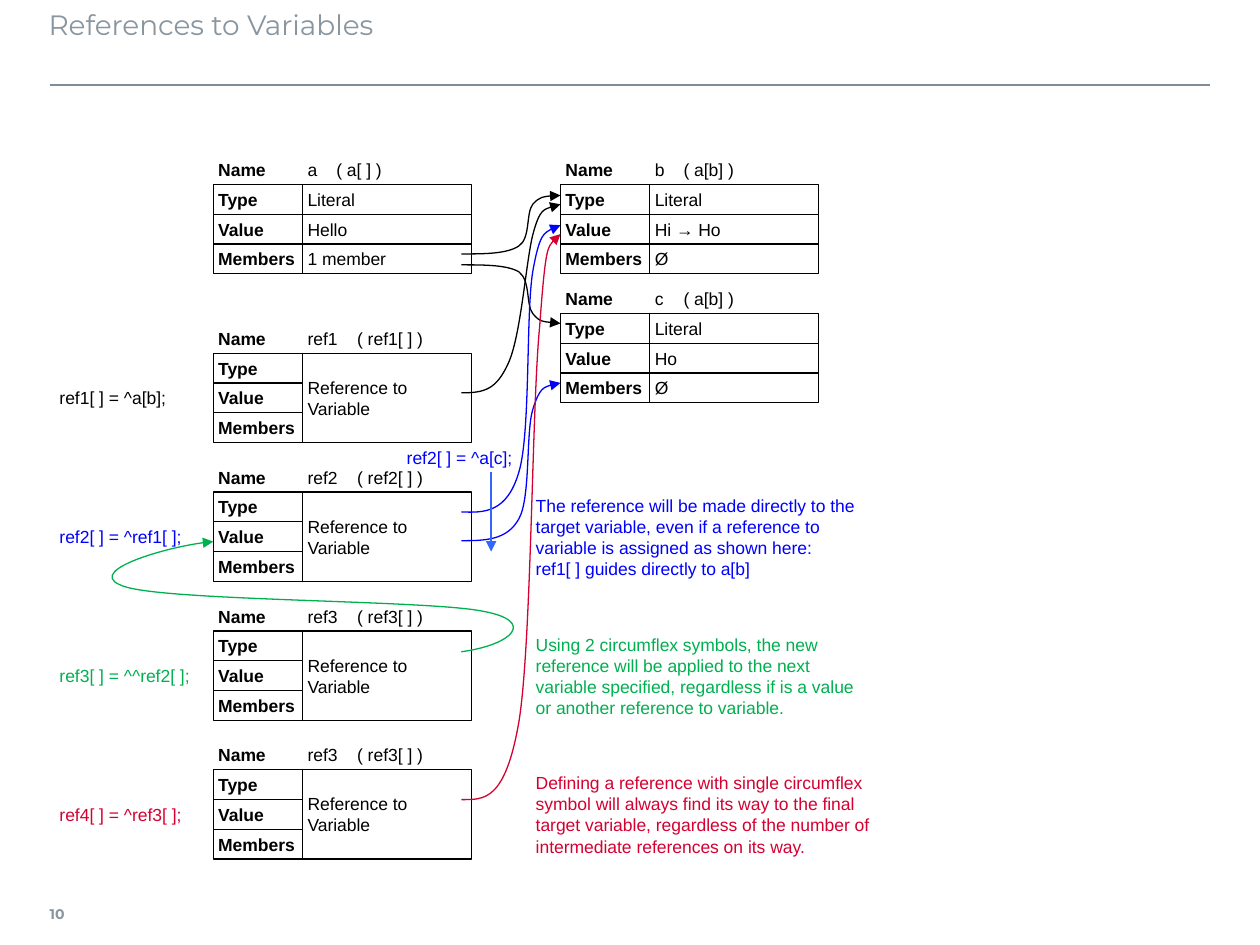
from typing import NamedTuple, Optional

from lxml import etree
from pptx import Presentation
from pptx import util as u
from pptx.dml.color import RGBColor
from pptx.enum import shapes, text
from pptx.oxml.ns import qn

PX = 7200  # EMU, 0.2 mm
ROW, LABEL_W, VALUE_W = 30, 90, 170
ASSIGNMENT_W, NOTE_W = 150, 360  # room for the longest line
LEFT_X, RIGHT_X = 215, 565
BLACK, BLUE, GREEN, RED = "000000", "0000FF", "00B050", "D50032"
GREY, RULE_GREY, ARROW_BLUE = "8996A0", "808D97", "3366FF"


class Box(NamedTuple):
    x: int
    y: int
    width: int
    height: int


class Variable(NamedTuple):
    x: int
    y: int
    name: str
    members: str
    tab: int  # where the member list starts
    values: tuple = ()  # empty for a reference


class Statement(NamedTuple):
    box: Box
    words: str
    color: str


class Curve(NamedTuple):
    color: str
    points: tuple  # start, then three points per cubic segment


VARIABLES = [
    Variable(LEFT_X, 156, "a", "( a[ ] )", 29, ("Literal", "Hello", "1 member")),
    Variable(RIGHT_X, 156, "b", "( a[b] )", 29, ("Literal", "Hi → Ho", "Ø")),
    Variable(RIGHT_X, 286, "c", "( a[b] )", 29, ("Literal", "Ho", "Ø")),
] + [
    Variable(LEFT_X, 326 + 140 * i, name, f"( {name}[ ] )", 50)
    for i, name in enumerate(("ref1", "ref2", "ref3", "ref3"))
]

ASSIGNMENTS = [
    ("ref1[ ] = ^a[b];", BLACK),
    ("ref2[ ] = ^ref1[ ];", BLUE),
    ("ref3[ ] = ^^ref2[ ];", GREEN),
    ("ref4[ ] = ^ref3[ ];", RED),
]
NOTES = [
    ("The reference will be made directly to the\n"
     "target variable, even if a reference to\n"
     "variable is assigned as shown here:\n"
     "ref1[ ] guides directly to a[b]", BLUE),
    ("Using 2 circumflex symbols, the new\n"
     "reference will be applied to the next\n"
     "variable specified, regardless if is a value\n"
     "or another reference to variable.", GREEN),
    ("Defining a reference with single circumflex\n"
     "symbol will always find its way to the final\n"
     "target variable, regardless of the number of\n"
     "intermediate references on its way.", RED),
]
STATEMENTS = [
    Statement(Box(55, 386 + 140 * i, ASSIGNMENT_W, ROW), *item)
    for i, item in enumerate(ASSIGNMENTS)
] + [
    Statement(Box(535, 496 + 140 * i, NOTE_W, 3 * ROW), *item)
    for i, item in enumerate(NOTES)
] + [Statement(Box(405, 446, ASSIGNMENT_W, ROW), "ref2[ ] = ^a[c];", BLUE)]

CURVES = [
    Curve(BLACK, ((465, 256), (488, 256), (511, 256), (523, 248), (535, 240),
                  (530, 215), (537, 206), (544, 198), (555, 197), (565, 197))),
    Curve(BLACK, ((465, 267), (488, 267), (511, 267), (523, 274), (535, 283),
                  (530, 307), (537, 316), (544, 325), (555, 325), (565, 326))),
    Curve(BLACK, ((465, 396), (488, 396), (500, 393), (512, 367), (525, 340),
                  (530, 265), (537, 237), (544, 210), (555, 208), (565, 206))),
    Curve(BLUE, ((465, 516), (488, 517), (511, 517), (523, 476), (535, 437),
                 (530, 316), (537, 274), (544, 234), (555, 230), (565, 227))),
    Curve(BLUE, ((465, 545), (488, 545), (511, 545), (523, 523), (535, 502),
                 (530, 436), (537, 413), (544, 390), (555, 387), (565, 386))),
    Curve(GREEN, ((465, 657), (516, 650), (542, 626), (486, 616), (431, 605),
                  (179, 606), (128, 592), (79, 578), (173, 549), (215, 546))),
    Curve(RED, ((465, 806), (488, 806), (509, 808), (523, 728), (536, 649),
                (536, 410), (544, 329), (550, 246), (555, 243), (565, 236))),
]


def rgb(color: str) -> RGBColor:
    return RGBColor.from_string(color)


def style_line(line, color: str, width: float = 0.75, arrow: bool = False) -> None:
    line.color.rgb = rgb(color)
    line.width = u.Pt(width)
    if arrow:
        etree.SubElement(line._get_or_add_ln(), qn("a:tailEnd"), type="triangle")


def add_text(slide, box: Box, words: str, *, color: str = BLACK, size: int = 10,
             bold: bool = False, font: str = "Arial", framed: bool = False,
             wrap: bool = False, insets: tuple = (5, 5, 5, 5),
             anchor=text.MSO_ANCHOR.MIDDLE, tab: Optional[int] = None):
    place = [value * PX for value in box]
    if framed:
        shape = slide.shapes.add_shape(shapes.MSO_SHAPE.RECTANGLE, *place)
        shape.shadow.inherit = False
        shape.fill.background()
        style_line(shape.line, BLACK)
    else:
        shape = slide.shapes.add_textbox(*place)
    frame = shape.text_frame
    frame.word_wrap = wrap
    frame.vertical_anchor = anchor
    frame.margin_left, frame.margin_top, frame.margin_right, frame.margin_bottom = (
        inset * PX for inset in insets)
    frame.text = words
    for paragraph in frame.paragraphs:
        paragraph.alignment = text.PP_ALIGN.LEFT
        if tab is not None:
            tabs = etree.SubElement(paragraph._p.get_or_add_pPr(), qn("a:tabLst"))
            etree.SubElement(tabs, qn("a:tab"), pos=str(tab * PX), algn="l")
        paragraph.font.size = u.Pt(size)
        paragraph.font.bold = bold
        paragraph.font.name = font
        paragraph.font.color.rgb = rgb(color)
    return shape


def add_variable(slide, variable: Variable) -> None:
    value_x = variable.x + LABEL_W
    for i, label in enumerate(("Name", "Type", "Value", "Members")):
        add_text(slide, Box(variable.x, variable.y + i * ROW, LABEL_W, ROW), label,
                 bold=True, framed=i > 0)
    add_text(slide, Box(value_x, variable.y, VALUE_W, ROW),
             f"{variable.name}\t{variable.members}", tab=variable.tab)
    cells = variable.values or ("Reference to\nVariable",)
    height = 3 * ROW // len(cells)
    for i, value in enumerate(cells):
        add_text(slide, Box(value_x, variable.y + ROW + i * height, VALUE_W, height),
                 value, framed=True)


def add_line(slide, start: tuple, end: tuple, color: str, width: float, arrow: bool) -> None:
    line = slide.shapes.add_connector(
        shapes.MSO_CONNECTOR.STRAIGHT, *(value * PX for value in start + end))
    style_line(line.line, color, width, arrow)
    etree.SubElement(line._element.spPr, qn("a:effectLst"))


def add_curve(slide, curve: Curve) -> None:
    # Points along the curve give the shape its true bounds
    samples = []
    for i in range(0, len(curve.points) - 1, 3):
        for t in (step / 20 for step in range(1, 21)):
            weights = ((1 - t) ** 3, 3 * t * (1 - t) ** 2, 3 * t * t * (1 - t), t ** 3)
            samples.append(tuple(
                round(sum(w * p[axis] for w, p in zip(weights, curve.points[i:i + 4])))
                for axis in (0, 1)))
    builder = slide.shapes.build_freeform(*curve.points[0], scale=PX)
    builder.add_line_segments(samples, close=False)
    shape = builder.convert_to_shape()
    # Swap the straight pieces for cubic ones
    route = shape._element.spPr.find(".//" + qn("a:path"))
    for piece in route.findall(qn("a:lnTo")):
        route.remove(piece)
    left, top = (min(p[axis] for p in [curve.points[0]] + samples) for axis in (0, 1))
    for i in range(1, len(curve.points), 3):
        cubic = etree.SubElement(route, qn("a:cubicBezTo"))
        for x, y in curve.points[i:i + 3]:
            etree.SubElement(cubic, qn("a:pt"), x=str(x - left), y=str(y - top))
    shape.shadow.inherit = False
    shape.fill.background()
    style_line(shape.line, curve.color, arrow=True)


def main() -> None:
    presentation = Presentation()
    presentation.slide_width, presentation.slide_height = u.Inches(10), u.Inches(7.5)
    slide = presentation.slides.add_slide(presentation.slide_layouts[6])

    # Title, rule and page number
    add_line(slide, (50, 86), (1220, 86), RULE_GREY, 1, False)
    add_text(slide, Box(50, 896, 44, 50), "10", color=GREY, size=8, bold=True,
             font="Montserrat", insets=(0, 6, 10, 6))
    add_text(slide, Box(49, 2, 1170, 80), "References to Variables", color=GREY, size=16,
             font="Montserrat", wrap=True, insets=(0, 6, 12, 6), anchor=text.MSO_ANCHOR.TOP)

    # Variables with their assignments and notes
    for variable in VARIABLES:
        add_variable(slide, variable)
    for statement in STATEMENTS:
        add_text(slide, statement.box, statement.words, color=statement.color)

    # Reference arrows
    for curve in CURVES:
        add_curve(slide, curve)
    add_line(slide, (495, 476), (495, 556), ARROW_BLUE, 0.75, True)

    presentation.save("out.pptx")


if __name__ == "__main__":
    main()
